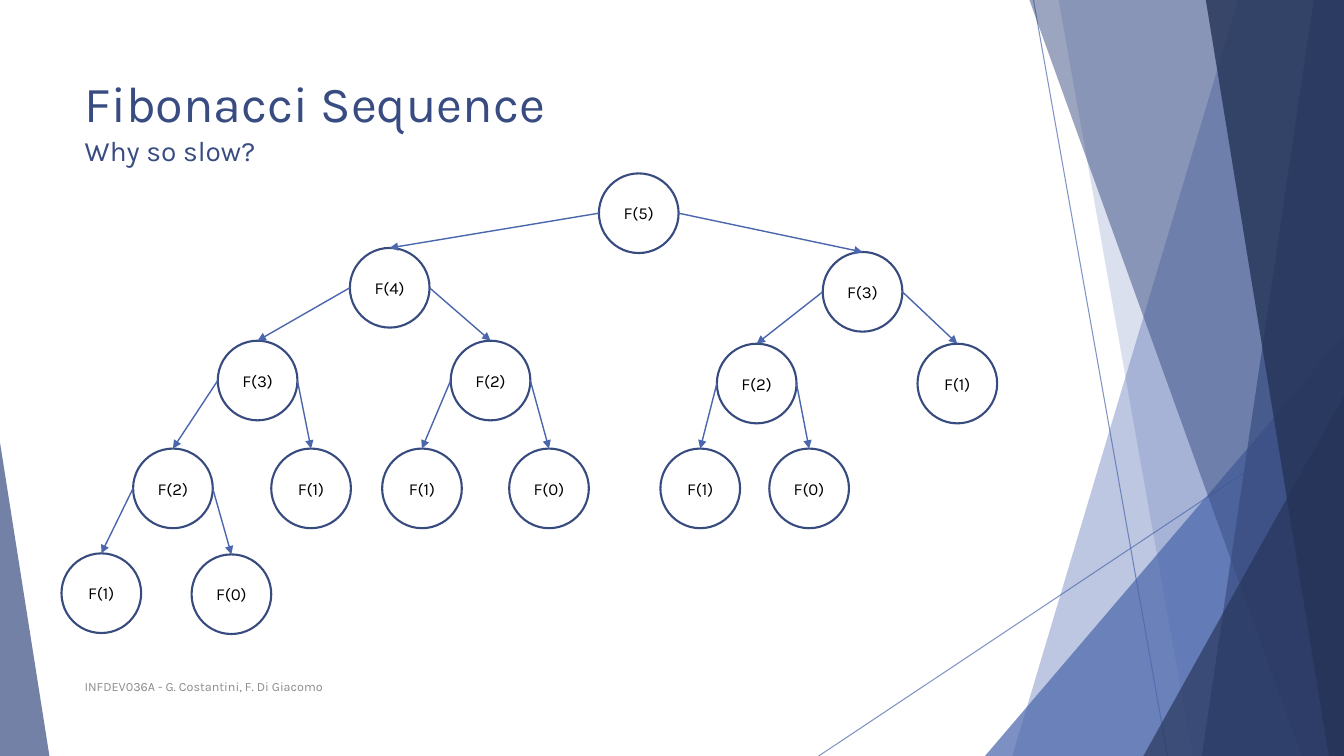
from lxml import etree
from pptx import Presentation
from pptx.dml.color import RGBColor
from pptx.enum.shapes import MSO_CONNECTOR, MSO_SHAPE
from pptx.enum.text import MSO_ANCHOR, MSO_AUTO_SIZE, PP_ALIGN
from pptx.oxml.ns import qn
from pptx.util import Inches, Pt

STRAIGHT = MSO_CONNECTOR.STRAIGHT
OVAL = MSO_SHAPE.OVAL
TRIANGLE = MSO_SHAPE.ISOSCELES_TRIANGLE
TOP, MIDDLE = MSO_ANCHOR.TOP, MSO_ANCHOR.MIDDLE
LEFT, CENTER = PP_ALIGN.LEFT, PP_ALIGN.CENTER
NO_FIT = MSO_AUTO_SIZE.NONE

FONT = "Karla"
COLORS = {
    "blue": "4A66AC", "navy": "384C81", "dark": "253356", "ring": "374B7F",
    "grey": "8C8C8C", "black": "000000", "white": "FFFFFF",
}
WIDTH, HEIGHT = 13.33, 7.5
NODE = 0.79

# Left and top of each call, keyed by the turns that lead to it from F(5)
CALLS = {
    "": (5.94, 1.72),
    "L": (3.47, 2.46), "R": (8.16, 2.5),
    "LL": (2.16, 3.38), "LR": (4.47, 3.38),
    "RL": (7.11, 3.41), "RR": (9.1, 3.41),
    "LLL": (1.32, 4.45), "LLR": (2.69, 4.45),
    "LRL": (3.79, 4.45), "LRR": (5.05, 4.45),
    "RLL": (6.55, 4.45), "RLR": (7.63, 4.45),
    "LLLL": (0.61, 5.49), "LLLR": (1.9, 5.5),
}


def rgb(name):
    return RGBColor.from_string(COLORS[name])


def fade(shape, alpha):
    """Set the opacity, in percent, of the shape's one colour."""
    color = next(shape._element.spPr.iter(qn("a:srgbClr")))
    etree.SubElement(color, qn("a:alpha")).set("val", str(alpha * 1000))


def add_run(para, text, size, color):
    run = para.add_run()
    run.text = text
    run.font.name = FONT
    run.font.size = Pt(size)
    run.font.color.rgb = rgb(color)


def add_line(slide, start, end, width):
    ends = [Inches(value) for value in (*start, *end)]
    line = slide.shapes.add_connector(STRAIGHT, *ends)
    line.line.color.rgb = rgb("blue")
    line.line.width = Pt(width)
    etree.SubElement(line._element.spPr, qn("a:effectLst"))
    return line


def paint(shape, color, alpha):
    shape.shadow.inherit = False
    shape.fill.solid()
    shape.fill.fore_color.rgb = rgb(color)
    shape.line.fill.background()
    fade(shape, alpha)


def add_band(slide, top_x, base_x, color, alpha):
    """Fill from a slanted left edge to the slide's right edge."""
    points = [(WIDTH, 0), (WIDTH, HEIGHT), (base_x, HEIGHT)]
    outline = slide.shapes.build_freeform(Inches(top_x), 0)
    outline.add_line_segments([(Inches(x), Inches(y)) for x, y in points])
    paint(outline.convert_to_shape(), color, alpha)


def add_wedge(slide, left, top, width, peak, color, alpha):
    """Stand a right triangle on the slide's bottom edge."""
    box = [Inches(value) for value in (left, top, width, HEIGHT - top)]
    wedge = slide.shapes.add_shape(TRIANGLE, *box)
    wedge.adjustments[0] = peak
    paint(wedge, color, alpha)


def add_decor(slide):
    for start, end in (((10.25, 0), (11.58, HEIGHT)),
                       ((WIDTH, 4.03), (8.12, HEIGHT))):
        fade(add_line(slide, start, end, 0.75), 70)
    add_band(slide, 12.28, 10.04, "blue", 36)
    add_band(slide, 10.5, 11.83, "blue", 20)
    add_wedge(slide, 9.77, 3.33, 3.56, 1, "blue", 72)
    add_band(slide, 10.21, 12.91, "navy", 50)
    add_band(slide, 13.03, 11.92, "navy", 70)
    add_band(slide, 11.96, 13.18, "dark", 80)
    add_wedge(slide, 11.34, 3.93, 1.99, 1, "dark", 66)
    add_wedge(slide, 0, 4.39, 0.49, 0, "navy", 70)


def set_title(slide):
    title = slide.shapes.title
    title.left, title.top = Inches(0.74), Inches(0.67)
    title.width, title.height = Inches(9.4), Inches(1.44)
    frame = title.text_frame
    frame.auto_size = NO_FIT
    frame.vertical_anchor = TOP
    para = frame.paragraphs[0]
    para.alignment = LEFT
    add_run(para, "Fibonacci Sequence", 36, "navy")
    para.add_line_break()
    add_run(para, "Why so slow?", 20, "navy")


def add_footer(slide):
    box = slide.shapes.add_textbox(
        Inches(0.74), Inches(6.61), Inches(6.89), Inches(0.4))
    frame = box.text_frame
    frame.word_wrap = True
    frame.vertical_anchor = MIDDLE
    add_run(frame.paragraphs[0], "INFDEV036A - G. Costantini, F. Di Giacomo",
            9, "grey")


def add_node(slide, turns):
    left, top = CALLS[turns]
    node = slide.shapes.add_shape(
        OVAL, Inches(left), Inches(top), Inches(NODE), Inches(NODE))
    node.shadow.inherit = False
    node.fill.solid()
    node.fill.fore_color.rgb = rgb("white")
    node.line.color.rgb = rgb("ring")
    node.line.width = Pt(1.5)
    frame = node.text_frame
    frame.word_wrap = False
    frame.vertical_anchor = MIDDLE
    para = frame.paragraphs[0]
    para.alignment = CENTER
    number = 5 - turns.count("L") - 2 * turns.count("R")
    add_run(para, f"F({number})", 12, "black")
    return node


def add_arrow(slide, turns, child):
    """Point from the side of the calling node to the top of its child."""
    left, top = CALLS[turns[:-1]]
    side = left if turns[-1] == "L" else left + NODE
    start = (side, top + NODE / 2)
    arrow = add_line(slide, start, start, 1)
    arrow.end_connect(child, 0)
    etree.SubElement(arrow.line._get_or_add_ln(), qn("a:tailEnd"),
                     type="triangle")


def add_tree(slide):
    nodes = {turns: add_node(slide, turns) for turns in CALLS}
    for turns, node in nodes.items():
        if turns:
            add_arrow(slide, turns, node)


def main():
    deck = Presentation()
    deck.slide_width, deck.slide_height = Inches(WIDTH), Inches(HEIGHT)
    slide = deck.slides.add_slide(deck.slide_layouts[5])
    add_decor(slide)
    set_title(slide)
    add_footer(slide)
    add_tree(slide)
    deck.save("out.pptx")


if __name__ == "__main__":
    main()
